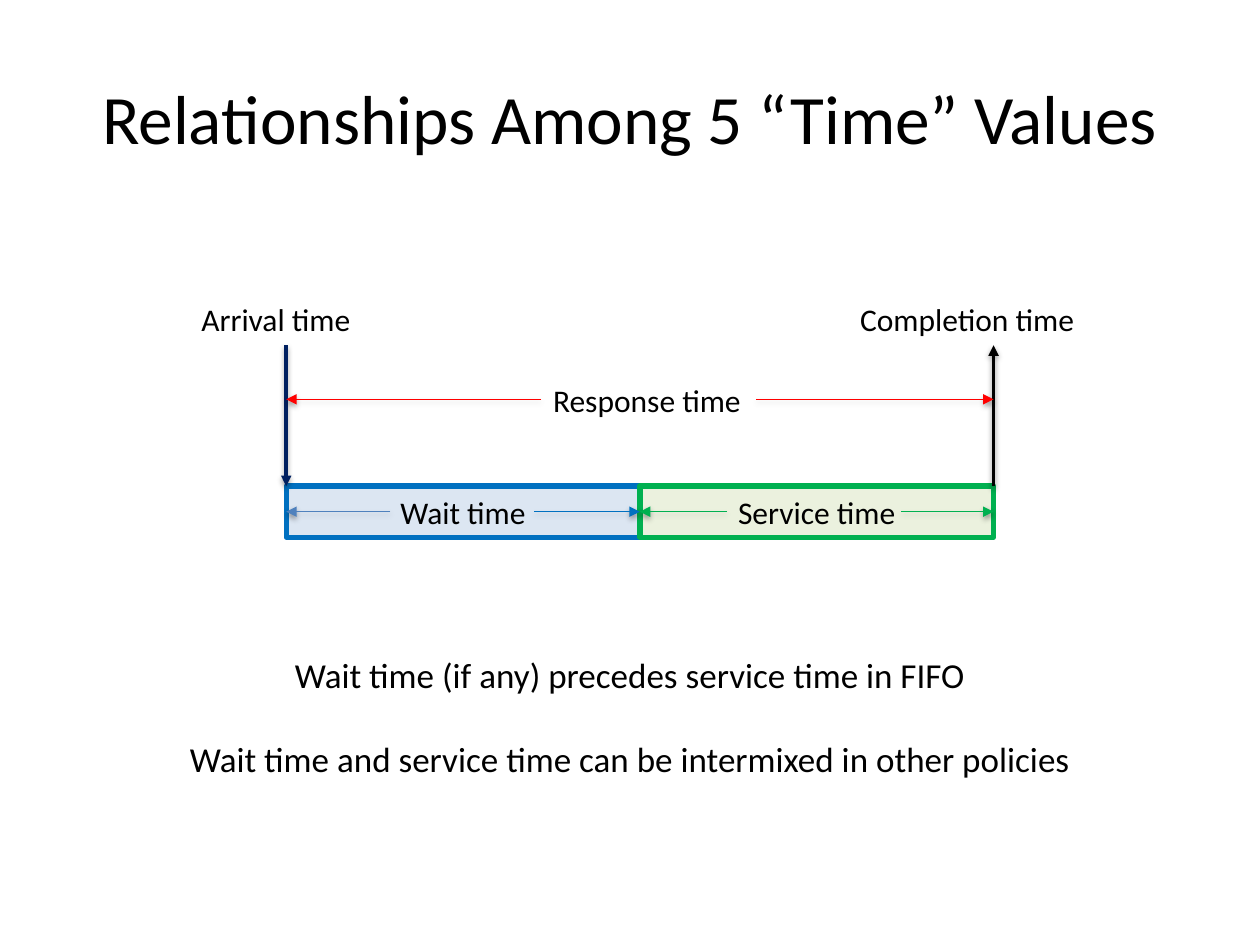
from dataclasses import dataclass

from lxml import etree
from pptx import Presentation
from pptx import util as u
from pptx.dml.color import RGBColor
from pptx.enum import shapes, text
from pptx.oxml import ns

FONT = "Calibri"
BLACK = "000000"
LEFT, TOP = 5.77, 9.8
BAR_WIDTH, BAR_HEIGHT = 7.13, 1.03
MIDDLE = LEFT + BAR_WIDTH
RIGHT = MIDDLE + BAR_WIDTH
BAR_CENTER = TOP + BAR_HEIGHT / 2
MARK_TOP, RESPONSE_Y = 6.96, 8.05


@dataclass
class Label:
    left: float
    top: float
    width: float
    height: float
    lines: tuple[str, ...]
    size: float = 18
    centered: bool = False
    wrap: bool = False
    gap: float = 0


@dataclass
class Bar:
    left: float
    caption: str
    fill: str
    outline: str


@dataclass
class Arrow:
    start: tuple[float, float]
    end: tuple[float, float]
    color: str
    width: float = 0.25


LABELS = [
    Label(1.27, 0.76, 22.86, 3.18, ("Relationships Among 5 “Time” Values",), 39.6, True, True),
    Label(3.81, 5.92, 3.56, BAR_HEIGHT, ("Arrival time",)),
    Label(10.9, 7.54, 4.34, BAR_HEIGHT, ("Response time",)),
    Label(17.09, 5.92, 4.88, BAR_HEIGHT, ("Completion time",)),
    Label(3.48, 13.03, 18.44, 2.82, (
        "Wait time (if any) precedes service time in FIFO",
        "Wait time and service time can be intermixed in other policies",
    ), 20, True, gap=24),
]
BARS = [
    Bar(LEFT, "Wait time", "DCE6F2", "0070C0"),
    Bar(MIDDLE, "Service time", "EBF1DE", "00B050"),
]
ARROWS = [
    Arrow((LEFT, MARK_TOP), (LEFT, TOP), "002060", 2),
    Arrow((RIGHT, TOP), (RIGHT, MARK_TOP), BLACK, 2),
    Arrow((15.24, RESPONSE_Y), (RIGHT, RESPONSE_Y), "FF0000"),
    Arrow((10.9, RESPONSE_Y), (LEFT, RESPONSE_Y), "FF0000"),
    Arrow((10.77, BAR_CENTER), (MIDDLE, BAR_CENTER), "0070C0"),
    Arrow((7.87, BAR_CENTER), (LEFT, BAR_CENTER), "4F81BD"),
    Arrow((18.16, BAR_CENTER), (RIGHT, BAR_CENTER), "00B050"),
    Arrow((14.66, BAR_CENTER), (MIDDLE, BAR_CENTER), "00B050"),
]


def rgb(value: str) -> RGBColor:
    return RGBColor.from_string(value)


def write(frame, lines: tuple[str, ...], size: float, centered: bool, gap: float = 0) -> None:
    frame.vertical_anchor = text.MSO_ANCHOR.MIDDLE
    for index, line in enumerate(lines):
        paragraph = frame.add_paragraph() if index else frame.paragraphs[0]
        paragraph.alignment = text.PP_ALIGN.CENTER if centered else text.PP_ALIGN.LEFT
        paragraph.space_before = u.Pt(gap if index else 0)
        run = paragraph.add_run()
        run.text = line
        run.font.name = FONT
        run.font.size = u.Pt(size)
        run.font.color.rgb = rgb(BLACK)


def draw_label(slide, label: Label) -> None:
    shape = slide.shapes.add_textbox(
        u.Cm(label.left), u.Cm(label.top), u.Cm(label.width), u.Cm(label.height))
    shape.text_frame.word_wrap = label.wrap
    write(shape.text_frame, label.lines, label.size, label.centered, label.gap)


def draw_bar(slide, bar: Bar) -> None:
    shape = slide.shapes.add_shape(
        shapes.MSO_SHAPE.RECTANGLE,
        u.Cm(bar.left), u.Cm(TOP), u.Cm(BAR_WIDTH), u.Cm(BAR_HEIGHT))
    shape.shadow.inherit = False
    shape.fill.solid()
    shape.fill.fore_color.rgb = rgb(bar.fill)
    shape.line.color.rgb = rgb(bar.outline)
    shape.line.width = u.Pt(3)
    shape.text_frame.word_wrap = True
    write(shape.text_frame, (bar.caption,), 18, True)


def draw_arrow(slide, arrow: Arrow) -> None:
    connector = slide.shapes.add_connector(
        shapes.MSO_CONNECTOR.STRAIGHT, *map(u.Cm, arrow.start + arrow.end))
    connector.line.color.rgb = rgb(arrow.color)
    connector.line.width = u.Pt(arrow.width)
    properties = connector._element.spPr
    etree.SubElement(properties.find(ns.qn("a:ln")), ns.qn("a:tailEnd"), type="triangle")
    effects = etree.SubElement(properties, ns.qn("a:effectLst"))
    shadow = etree.SubElement(
        effects, ns.qn("a:outerShdw"), blurRad="40000", dist="20000",
        dir="5400000", rotWithShape="0")
    color = etree.SubElement(shadow, ns.qn("a:srgbClr"), val=BLACK)
    etree.SubElement(color, ns.qn("a:alpha"), val="38000")


presentation = Presentation()
presentation.slide_width = u.Cm(25.4)
presentation.slide_height = u.Cm(19.05)
slide = presentation.slides.add_slide(presentation.slide_layouts[6])
for bar in BARS:
    draw_bar(slide, bar)
for label in LABELS:
    draw_label(slide, label)
for arrow in ARROWS:
    draw_arrow(slide, arrow)
presentation.save("out.pptx")
